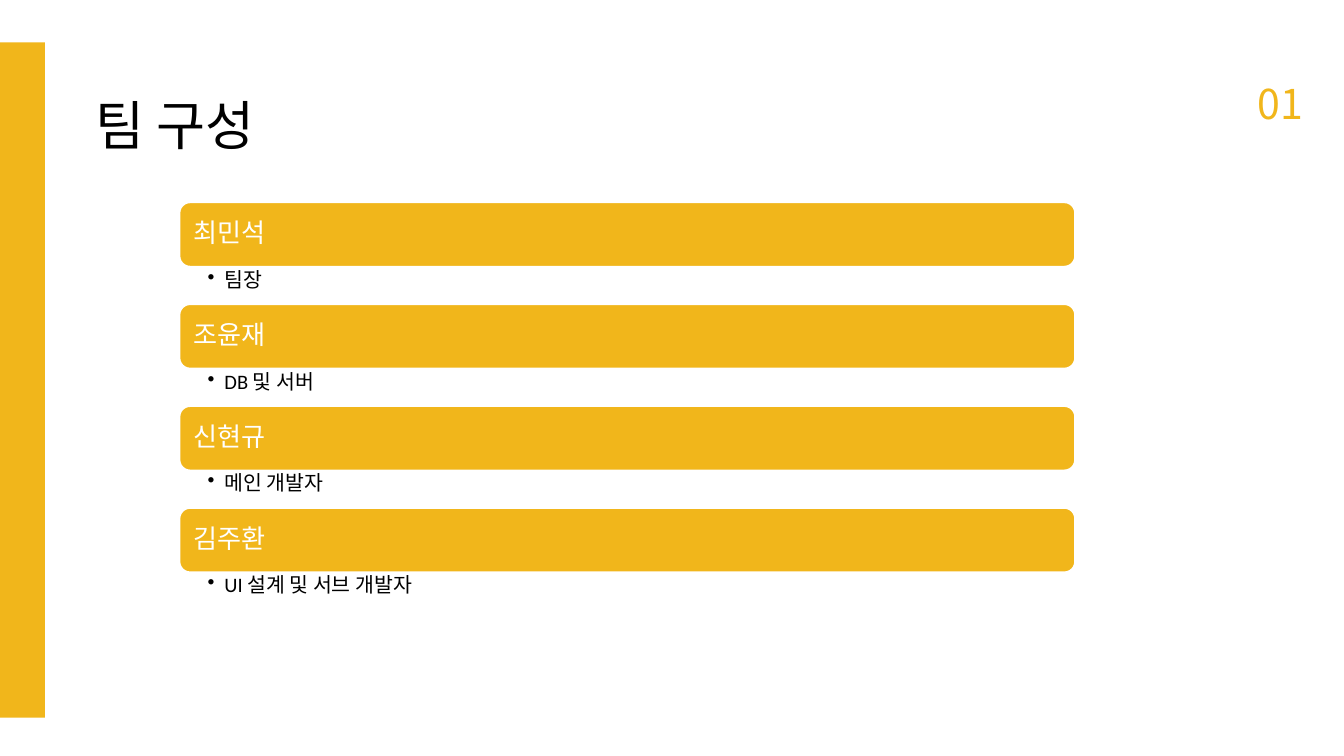
from dataclasses import dataclass

from lxml import etree
from pptx import Presentation
from pptx.dml.color import RGBColor
from pptx.enum.shapes import MSO_SHAPE
from pptx.enum.text import MSO_ANCHOR, MSO_AUTO_SIZE, PP_ALIGN
from pptx.oxml.ns import qn
from pptx.slide import Slide
from pptx.text.text import TextFrame
from pptx.util import Inches, Pt

RECTANGLE = MSO_SHAPE.RECTANGLE
ROUNDED_RECTANGLE = MSO_SHAPE.ROUNDED_RECTANGLE
TOP, MIDDLE = MSO_ANCHOR.TOP, MSO_ANCHOR.MIDDLE
LEFT, JUSTIFY = PP_ALIGN.LEFT, PP_ALIGN.JUSTIFY
GROW = MSO_AUTO_SIZE.SHAPE_TO_FIT_TEXT
TITLE_ONLY = 5


@dataclass(frozen=True)
class Theme:
    accent: RGBColor = RGBColor(0xF1, 0xB6, 0x1B)
    white: RGBColor = RGBColor(0xFF, 0xFF, 0xFF)
    black: RGBColor = RGBColor(0, 0, 0)
    heading_font: str = "Noto Sans CJK KR"
    body_font: str = "Calibri"
    title_size: float = 57.1
    number_size: float = 44
    name_size: float = 28
    role_size: float = 22


@dataclass(frozen=True)
class Box:
    left: float
    top: float
    width: float
    height: float

    def lengths(self) -> tuple[Inches, ...]:
        return tuple(Inches(value) for value in (self.left, self.top, self.width, self.height))


@dataclass(frozen=True)
class Member:
    name: str
    role: str


THEME = Theme()
MEMBERS = (
    Member("최민석", "팀장"),
    Member("조윤재", "DB 및 서버"),
    Member("신현규", "메인 개발자"),
    Member("김주환", "UI 설계 및 서브 개발자"),
)
LIST_LEFT, LIST_TOP, LIST_WIDTH = 2.67, 3.01, 13.33
NAME_HEIGHT, ROLE_HEIGHT = 0.96, 0.55
MEMBER_PITCH = 1.516


def set_text(frame: TextFrame, text: str, font: str, size: float, color: RGBColor,
             spacing: float | Pt, margins: tuple[float, float, float, float] = (0, 0, 0, 0),
             anchor: MSO_ANCHOR = TOP, alignment: PP_ALIGN = LEFT, bullet: bool = False) -> None:
    frame.word_wrap = True
    frame.vertical_anchor = anchor
    frame.margin_left, frame.margin_top, frame.margin_right, frame.margin_bottom = map(Inches, margins)
    frame.text = text
    paragraph = frame.paragraphs[0]
    paragraph.alignment = alignment
    paragraph.line_spacing = spacing
    if bullet:
        paragraph.level = 1
        properties = paragraph._p.get_or_add_pPr()
        properties.set("marL", str(Inches(0.25)))
        properties.set("indent", str(Inches(-0.25)))
        etree.SubElement(properties, qn("a:buChar")).set("char", "•")
    for run in paragraph.runs:
        run.font.name = font
        run.font.size = Pt(size)
        run.font.color.rgb = color
        east_asian = etree.Element(qn("a:ea"))
        east_asian.set("typeface", THEME.heading_font)
        run.font._element.find(qn("a:latin")).addnext(east_asian)


def add_panel(slide: Slide, kind: MSO_SHAPE, box: Box) -> TextFrame:
    shape = slide.shapes.add_shape(kind, *box.lengths())
    shape.shadow.inherit = False
    shape.fill.solid()
    shape.fill.fore_color.rgb = THEME.accent
    if kind == ROUNDED_RECTANGLE:
        shape.line.color.rgb = THEME.white
        shape.line.width = Pt(2)
    else:
        shape.line.fill.background()
    return shape.text_frame


def add_title(slide: Slide, text: str, box: Box) -> None:
    title = slide.shapes.title
    title.left, title.top, title.width, title.height = box.lengths()
    set_text(title.text_frame, text, THEME.heading_font, THEME.title_size, THEME.black, Pt(74.3))
    title.text_frame.auto_size = GROW


def add_number(slide: Slide, text: str, box: Box) -> None:
    frame = slide.shapes.add_textbox(*box.lengths()).text_frame
    set_text(frame, text, THEME.heading_font, THEME.number_size, THEME.accent, Pt(303.8),
             alignment=JUSTIFY)
    frame.auto_size = GROW


def add_member(slide: Slide, member: Member, top: float) -> None:
    name_frame = add_panel(slide, ROUNDED_RECTANGLE, Box(LIST_LEFT, top, LIST_WIDTH, NAME_HEIGHT))
    set_text(name_frame, member.name, THEME.body_font, THEME.name_size, THEME.white, 0.9,
             margins=(0.16, 0.16, 0.16, 0.16), anchor=MIDDLE)
    role_box = Box(LIST_LEFT, top + NAME_HEIGHT, LIST_WIDTH, ROLE_HEIGHT)
    role_frame = slide.shapes.add_textbox(*role_box.lengths()).text_frame
    set_text(role_frame, member.role, THEME.body_font, THEME.role_size, THEME.black, 0.9,
             margins=(0.42, 0.04, 0.22, 0.04), bullet=True)


def main() -> None:
    presentation = Presentation()
    presentation.slide_width = Inches(20)
    presentation.slide_height = Inches(11.25)
    slide = presentation.slides.add_slide(presentation.slide_layouts[TITLE_ONLY])
    add_title(slide, "팀 구성", Box(1.42, 1.29, 8.99, 0.97))
    add_panel(slide, RECTANGLE, Box(0, 0.63, 0.67, 10.05))
    for index, member in enumerate(MEMBERS):
        add_member(slide, member, LIST_TOP + index * MEMBER_PITCH)
    add_number(slide, "01", Box(18.71, -2.32, 2.58, 3.38))
    presentation.save("out.pptx")


if __name__ == "__main__":
    main()
